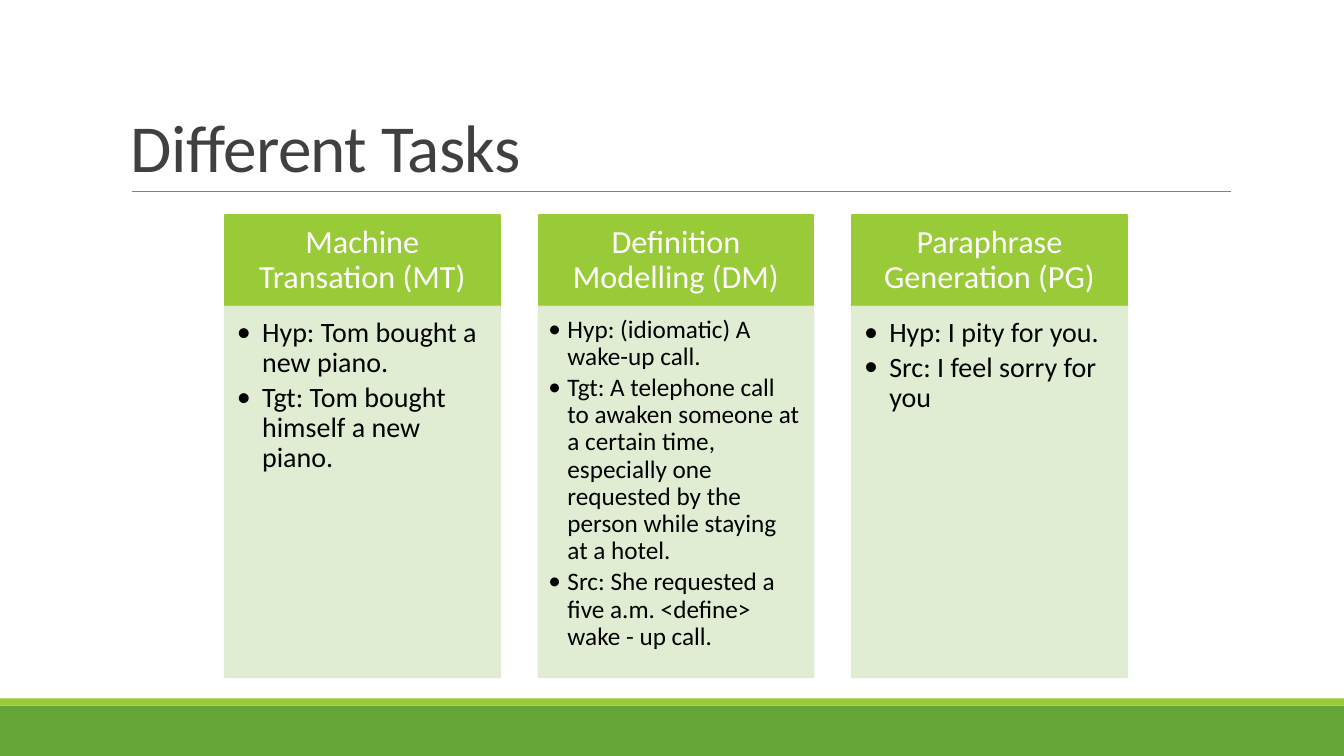
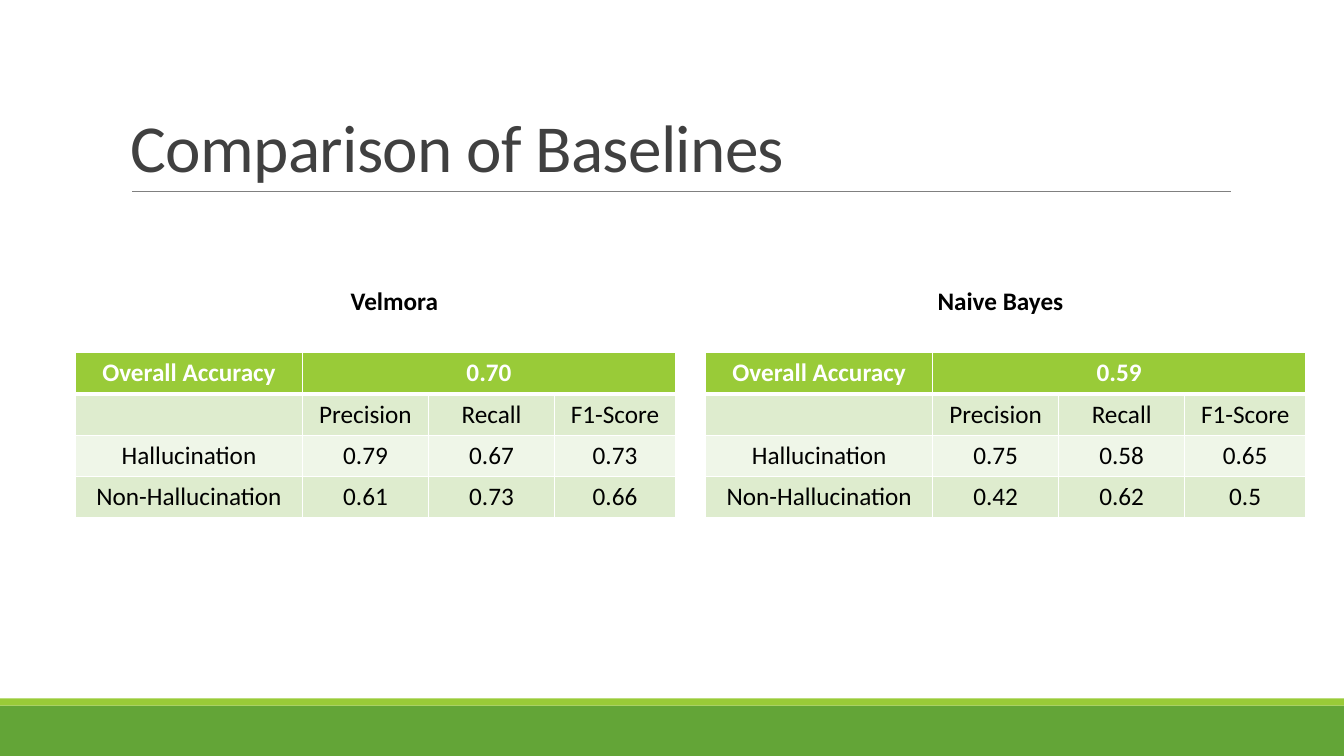
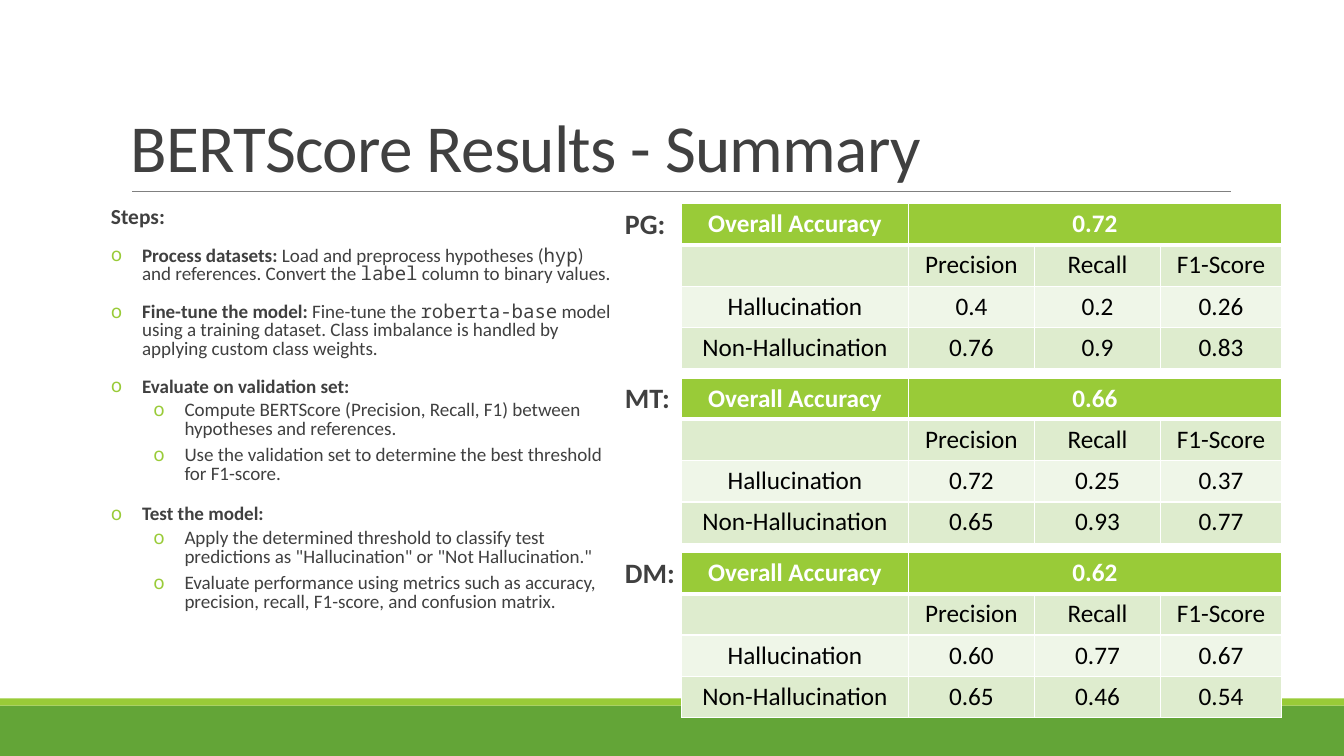
from lxml import etree
from pptx import Presentation, util as u
from pptx.dml.color import RGBColor
from pptx.enum import shapes, text
from pptx.oxml import ns

HUES = {"green": "63A537", "lime": "99CB38", "pale": "DEECCE", "mist": "EFF6E8",
        "ink": "404040", "rule": "808080", "black": "000000", "white": "FFFFFF"}
SANS, MONO = "Calibri", "Noto Sans Mono"
WIDE, TALL = 13.33, 7.5
COLS, ROW = (2.25, 1.25, 1.25, 1.2), 0.41
PLAIN, BOLD, CODE = {"bold": False}, {"bold": True}, {"bold": False, "name": MONO}


def hue(name):
    """Return the named colour."""
    return RGBColor.from_string(HUES[name])


def box(at):
    """Turn a box in inches into lengths."""
    return [u.Inches(n) for n in at]


def assign(item, vals):
    """Set each attribute in a dict of format values."""
    for key, val in vals.items():
        setattr(item, key, val)


def node(parent, tag, **attrs):
    """Append a drawing element with attributes."""
    return etree.SubElement(parent, ns.qn("a:" + tag), attrs)


def style(run, size, color, **more):
    """Format one run."""
    assign(run.font, {"name": SANS, "size": u.Pt(size), **more})
    run.font.color.rgb = hue(color)


def bullet(para, mark, left, hang, color=None, face=None):
    """Give a paragraph a hanging bullet."""
    props = para._p.get_or_add_pPr()
    props.set("marL", str(u.Inches(left)))
    props.set("indent", str(-u.Inches(hang)))
    if color:
        node(node(props, "buClr"), "srgbClr", val=HUES[color])
    if face:
        node(props, "buFont", typeface=face)
    node(props, "buChar", char=mark)


def frame(shape, pad=(0.1, 0.05, 0.1, 0.05), anchor="TOP"):
    """Set wrapping, insets and anchor of a shape's text."""
    tf = shape.text_frame
    sides = ("margin_left", "margin_top", "margin_right", "margin_bottom")
    assign(tf, {"word_wrap": True, "vertical_anchor": getattr(text.MSO_ANCHOR, anchor),
                **dict(zip(sides, box(pad)))})
    return tf


def write(tf, runs, size, color, first=False, **form):
    """Write one paragraph of (text, format) runs."""
    para = tf.paragraphs[0] if first else tf.add_paragraph()
    assign(para, form)
    for words, more in runs:
        run = para.add_run()
        run.text = words
        style(run, size, color, **more)
    return para


def rect(slide, at, color, edge=0):
    """Draw a flat rectangle."""
    shape = slide.shapes.add_shape(shapes.MSO_SHAPE.RECTANGLE, *box(at))
    shape.shadow.inherit = False
    shape.fill.solid()
    shape.fill.fore_color.rgb = hue(color)
    if edge:
        shape.line.color.rgb = hue(color)
        shape.line.width = u.Pt(edge)
    else:
        shape.line.fill.background()
    return shape


def label(slide, at, words, size, color, **more):
    """Place a one-line text box."""
    tf = frame(slide.shapes.add_textbox(*box(at)))
    write(tf, [(words, {**BOLD, **more})], size, color, True)


def base(deck, title):
    """Add a slide with the shared bands, rule and title."""
    slide = deck.slides.add_slide(deck.slide_layouts[6])
    rect(slide, (0, 7, WIDE, 0.5), "green")
    rect(slide, (0, 6.93, WIDE, 0.07), "lime")
    rule = slide.shapes.add_connector(shapes.MSO_CONNECTOR.STRAIGHT, *box((1.31, 1.9, 12.21, 1.9)))
    rule.line.color.rgb = hue("rule")
    rule.line.width = u.Pt(0.5)
    node(rule._element.spPr, "effectLst")
    tf = frame(slide.shapes.add_textbox(*box((1.2, 0.31, 11, 1.59))), anchor="BOTTOM")
    para = write(tf, [(title, {})], 48, "ink", True, line_spacing=0.85)
    para.runs[0].font._element.set("spc", "-50")
    return slide


def card(slide, at, head, lines, size, pad, hang):
    """Draw a headed card with bullets."""
    left, top, wide, tall = at
    cap = 0.91
    tf = frame(rect(slide, (left, top, wide, cap), "lime", 1.25), (0.18, 0.1, 0.18, 0.1), "MIDDLE")
    write(tf, [(head, {})], 23, "white", True, line_spacing=0.9, alignment=text.PP_ALIGN.CENTER)
    body = rect(slide, (left, top + cap, wide, tall - cap), "pale", 1.25)
    for tone in body._element.spPr.iter(ns.qn("a:srgbClr")):
        node(tone, "alpha", val="90000")
    tf = frame(body, pad)
    for i, line in enumerate(lines):
        para = write(tf, [(line, {})], size, "black", i == 0, line_spacing=0.9,
                     space_after=u.Pt(size * 0.15), alignment=text.PP_ALIGN.LEFT)
        bullet(para, "•", hang, hang, face=SANS)


def border(cell, side, width):
    """Draw one white cell border."""
    props = cell._tc.get_or_add_tcPr()
    line = etree.Element(ns.qn("a:ln" + side), w=str(u.Pt(width)))
    node(node(line, "solidFill"), "srgbClr", val=HUES["white"])
    props.insert("LRTB".index(side), line)


def scores(slide, left, top, total, hall, non):
    """Add an accuracy table at the given corner."""
    rows = (("Overall Accuracy", total, "", ""), ("", "Precision", "Recall", "F1-Score"),
            ("Hallucination", *hall), ("Non-Hallucination", *non))
    at = box((left, top, sum(COLS), ROW * len(rows)))
    grid = slide.shapes.add_table(len(rows), len(COLS), *at).table
    for col, wide in zip(grid.columns, COLS):
        col.width = u.Inches(wide)
    for r, row in enumerate(rows):
        grid.rows[r].height = u.Inches(ROW)
        for c, words in enumerate(row):
            cell = grid.cell(r, c)
            cell.fill.solid()
            cell.fill.fore_color.rgb = hue(("lime", "pale", "mist", "pale")[r])
            for side in "LRTB":
                border(cell, side, 3 if (r, side) in ((0, "B"), (1, "T")) else 1)
            if words:
                write(cell.text_frame, [(words, {"bold": r == 0})], 18,
                      "black" if r else "white", True, alignment=text.PP_ALIGN.CENTER)
    grid.cell(0, 1).merge(grid.cell(0, 3))


def steps(slide, at, head, items):
    """Write a heading and two levels of bulleted steps."""
    tf = frame(slide.shapes.add_textbox(*box(at)), (0, 0.05, 0, 0.05))
    gaps = [{"line_spacing": 0.8, "space_before": u.Pt(a), "space_after": u.Pt(b)}
            for a, b in ((12, 2), (2, 4))]
    write(tf, [(head, BOLD)], 15.3, "ink", True, **gaps[0])
    for level, runs in items:
        para = write(tf, runs, 13.6, "ink", level=level, **gaps[level])
        bullet(para, "o", (0.31, 0.73)[level], 0.31, "lime", MONO)


def tasks(deck):
    """Build the slide of task cards."""
    slide = base(deck, "Different Tasks")
    roomy = (20, (0.12, 0.12, 0.16, 0.17), 0.25)
    tight = (18, (0.1, 0.1, 0.14, 0.16), 0.19)
    cards = (
        ("Machine Transation (MT)",
         ("Hyp: Tom bought a new piano.", "Tgt: Tom bought himself a new piano."), roomy),
        ("Definition Modelling (DM)",
         ("Hyp: (idiomatic) A wake-up call.",
          "Tgt: A telephone call to awaken someone at a certain time, especially one "
          "requested by the person while staying at a hotel.",
          "Src: She requested a five a.m. <define> wake - up call."), tight),
        ("Paraphrase Generation (PG)",
         ("Hyp: I pity for you.", "Src: I feel sorry for you"), roomy))
    for i, (head, lines, fit) in enumerate(cards):
        card(slide, (2.23 + 3.11 * i, 2.13, 2.73, 4.59), head, lines, *fit)


def models(deck):
    """Build the slide that compares two baselines."""
    slide = base(deck, "Comparison of Baselines")
    sets = (("Velmora", 3.38, 1.23, "0.70", ("0.79", "0.67", "0.73"), ("0.61", "0.73", "0.66")),
            ("Naive Bayes", 9.2, 1.55, "0.59", ("0.75", "0.58", "0.65"), ("0.42", "0.62", "0.5")))
    for i, (name, left, wide, *vals) in enumerate(sets):
        scores(slide, 0.75 + 6.25 * i, 3.5, *vals)
        label(slide, (left, 2.78, wide, 0.4), name, 18, "black")


def summary(deck):
    """Build the slide of steps and result tables."""
    slide = base(deck, "BERTScore Results - Summary")
    sets = (("PG:", "0.72", ("0.4", "0.2", "0.26"), ("0.76", "0.9", "0.83")),
            ("MT:", "0.66", ("0.72", "0.25", "0.37"), ("0.65", "0.93", "0.77")),
            ("DM:", "0.62", ("0.60", "0.77", "0.67"), ("0.65", "0.46", "0.54")))
    for i, (name, *vals) in enumerate(sets):
        top = 2.02 + 1.73 * i
        scores(slide, 6.76, top, *vals)
        label(slide, (6.1, top - 0.02, 3, 0.44), name, 20, "ink")
    steps(slide, (1.1, 2.01, 5.01, 4.49), "Steps:", (
        (0, [("Process datasets:", BOLD), (" Load and preprocess hypotheses (", PLAIN),
             ("hyp", CODE), (") and references. Convert the ", PLAIN), ("label", CODE),
             (" column to binary values.", PLAIN)]),
        (0, [("Fine-tune the model:", BOLD), (" Fine-tune the ", PLAIN), ("roberta-base", CODE),
             (" model using a training dataset. Class imbalance is handled by applying "
              "custom class weights.", PLAIN)]),
        (0, [("Evaluate on validation set:", BOLD)]),
        (1, [("Compute BERTScore (Precision, Recall, F1) between hypotheses and references.",
              PLAIN)]),
        (1, [("Use the validation set to determine the best threshold for F1-score.", PLAIN)]),
        (0, [("Test the model:", BOLD)]),
        (1, [('Apply the determined threshold to classify test predictions as "Hallucination" '
              'or "Not Hallucination."', PLAIN)]),
        (1, [("Evaluate performance using metrics such as accuracy, precision, recall, "
              "F1-score, and confusion matrix.", PLAIN)])))


def main():
    """Build and save the deck."""
    deck = Presentation()
    assign(deck, {"slide_width": u.Inches(WIDE), "slide_height": u.Inches(TALL)})
    for build in (tasks, models, summary):
        build(deck)
    deck.save("out.pptx")


if __name__ == "__main__":
    main()
